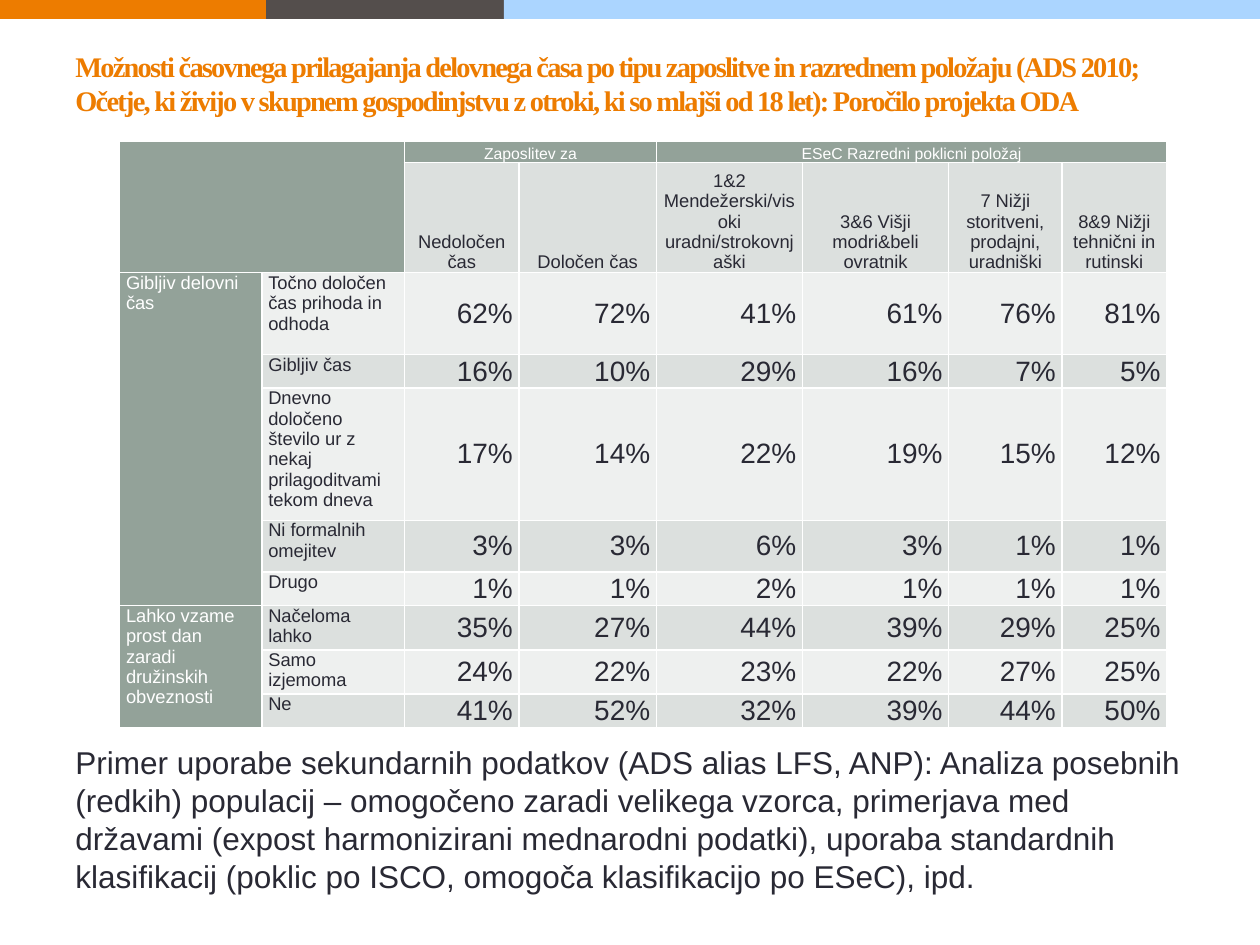
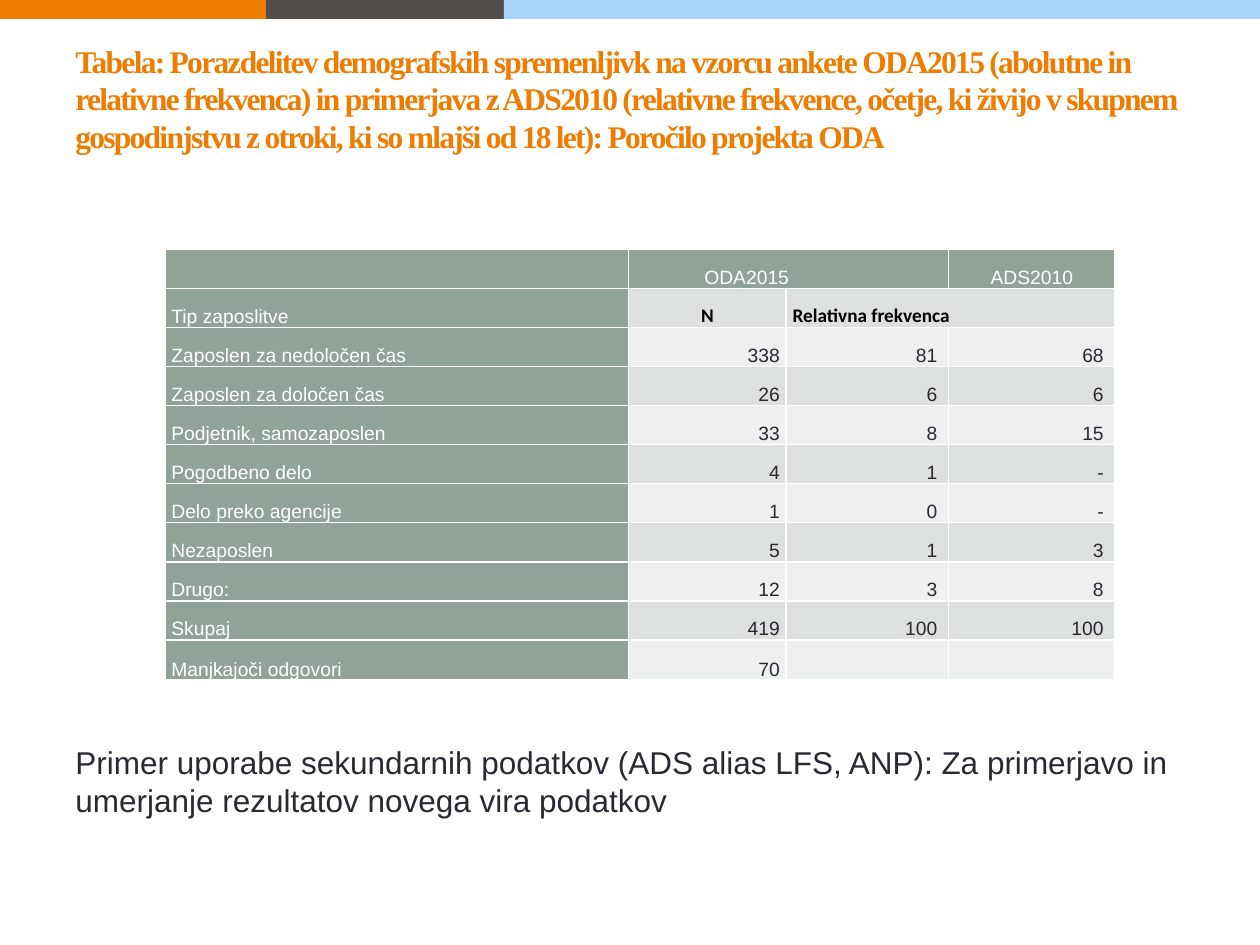
import pptx
import pptx.dml.color
import pptx.enum.shapes
import pptx.enum.text
import pptx.oxml
import pptx.oxml.ns
import pptx.util
from dataclasses import dataclass

Inches = pptx.util.Inches
Pt = pptx.util.Pt
ALIGN = pptx.enum.text.PP_ALIGN
ANCHOR = pptx.enum.text.MSO_ANCHOR


# Shared look
@dataclass(frozen=True)
class Theme:
    orange: str = "ED7C00"
    brown: str = "544E4C"
    sky: str = "ABD5FF"
    sage: str = "93A299"
    band_dark: str = "DCE0DE"
    band_light: str = "EEF0EF"
    ink: str = "292934"
    black: str = "000000"
    white: str = "FFFFFF"
    title_font: str = "Times New Roman"
    body_font: str = "Arial"
    label_font: str = "Calibri"
    long_title_size: float = 16.2
    title_size: float = 18
    note_size: float = 18
    group_size: float = 9
    label_size: float = 10.5
    value_size: float = 16
    plain_size: float = 11


def rgb(value):
    return pptx.dml.color.RGBColor.from_string(value)


class SlideBuilder:
    def __init__(self, deck, theme):
        self.deck = deck
        self.theme = theme
        self.page = None

    def new_page(self):
        self.page = self.deck.slides.add_slide(self.deck.slide_layouts[6])
        theme = self.theme
        self.band(0, 10, theme.brown)
        self.band(0, 2.11, theme.orange)
        self.band(4, 6, theme.sky)

    def band(self, left, width, color):
        shape = self.page.shapes.add_shape(
            pptx.enum.shapes.MSO_SHAPE.RECTANGLE,
            Inches(left), 0, Inches(width), Inches(0.15))
        shape.shadow.inherit = False
        self.fill(shape, color)
        shape.line.fill.background()

    def set_text(self, frame, text, size, color, font=None, bold=False,
                 align=ALIGN.LEFT):
        frame.text = text
        para = frame.paragraphs[0]
        para.alignment = align
        for span in para.runs:
            span.font.size = Pt(size)
            span.font.name = font or self.theme.body_font
            span.font.bold = bold
            span.font.color.rgb = rgb(color)
        return para

    def text_box(self, left, top, width, height):
        box = self.page.shapes.add_textbox(
            Inches(left), Inches(top), Inches(width), Inches(height))
        box.text_frame.word_wrap = True
        return box.text_frame

    def title(self, text, size, room_below):
        frame = self.text_box(0.5, 0.37, 9, 1.08)
        frame.vertical_anchor = ANCHOR.MIDDLE
        frame.margin_top = 0
        frame.margin_bottom = Inches(room_below)
        para = self.set_text(frame, text, size, self.theme.orange,
                             self.theme.title_font, bold=True)
        for span in para.runs:
            span._r.get_or_add_rPr().set("spc", "-100")

    def note(self, text, height):
        frame = self.text_box(0.5, 5.85, 9.15, height)
        self.set_text(frame, text, self.theme.note_size, self.theme.ink)

    def table(self, left, top, widths, heights):
        """Add an empty banded table with white cell borders."""
        table = self.page.shapes.add_table(
            len(heights), len(widths), Inches(left), Inches(top),
            Inches(sum(widths)), Inches(sum(heights))).table
        table.first_row = table.horz_banding = False
        for column, width in zip(table.columns, widths):
            column.width = Inches(width)
        for index, (row, height) in enumerate(zip(table.rows, heights)):
            row.height = Inches(height)
            for cell in row.cells:
                self.plain_cell(cell, index)
        return table

    def plain_cell(self, cell, row_index):
        theme = self.theme
        properties = cell._tc.get_or_add_tcPr()
        namespace = pptx.oxml.ns.nsdecls("a")
        for side in "LRTB":
            properties.append(pptx.oxml.parse_xml(
                f'<a:ln{side} {namespace} w="12700"><a:solidFill>'
                f'<a:srgbClr val="{theme.white}"/></a:solidFill></a:ln{side}>'))
        self.fill(cell, theme.band_dark if row_index % 2 else theme.band_light)
        cell.margin_left = cell.margin_right = Inches(0.05)
        cell.margin_top = cell.margin_bottom = 0
        # Small end mark, so that an empty cell does not stretch its row
        cell.text_frame.paragraphs[0]._p.append(pptx.oxml.parse_xml(
            f'<a:endParaRPr {namespace} sz="{int(theme.group_size * 100)}"/>'))

    def fill(self, item, color):
        item.fill.solid()
        item.fill.fore_color.rgb = rgb(color)

    def cell(self, cell, text, size, align=ALIGN.LEFT, anchor=ANCHOR.BOTTOM,
             header=False, **style):
        if header:
            self.fill(cell, self.theme.sage)
        cell.vertical_anchor = anchor
        if text:
            style.setdefault("color",
                             self.theme.white if header else self.theme.ink)
            self.set_text(cell.text_frame, text, size, align=align, **style)


# Working time options
CLASS_HEADINGS = [
    "Nedoločen čas", "Določen čas",
    "1&2 Mendežerski/visoki uradni/strokovnjaški",
    "3&6 Višji modri&beli ovratnik",
    "7 Nižji storitveni, prodajni, uradniški",
    "8&9 Nižji tehnični in rutinski"]

OPTION_ROWS = [
    ("Točno določen čas prihoda in odhoda", [62, 72, 41, 61, 76, 81]),
    ("Gibljiv čas", [16, 10, 29, 16, 7, 5]),
    ("Dnevno določeno število ur z nekaj prilagoditvami tekom dneva",
     [17, 14, 22, 19, 15, 12]),
    ("Ni formalnih omejitev", [3, 3, 6, 3, 1, 1]),
    ("Drugo", [1, 1, 2, 1, 1, 1]),
    ("Načeloma lahko", [35, 27, 44, 39, 29, 25]),
    ("Samo izjemoma", [24, 22, 23, 22, 27, 25]),
    ("Ne", [41, 52, 32, 39, 44, 50])]

# First row, first column, last row, last column, text
TOP_GROUPS = [(0, 0, 1, 1, ""), (0, 2, 0, 3, "Zaposlitev za"),
              (0, 4, 0, 7, "ESeC Razredni poklicni položaj")]
SIDE_GROUPS = [
    (2, 0, 6, 0, "Gibljiv delovni čas"),
    (7, 0, 9, 0, "Lahko vzame prost dan zaradi družinskih obveznosti")]


def working_time_slide(builder):
    theme = builder.theme
    builder.new_page()
    builder.title(
        "Možnosti časovnega prilagajanja delovnega časa po tipu zaposlitve in "
        "razrednem položaju (ADS 2010; Očetje, ki živijo v skupnem "
        "gospodinjstvu z otroki, ki so mlajši od 18 let): Poročilo projekta "
        "ODA", theme.long_title_size, room_below=0.5)
    table = builder.table(
        0.95, 1.12, [1.13, 1.13, 0.91, 1.09, 1.16, 1.16, 0.9, 0.83],
        [0.17, 0.81, 0.65, 0.21, 0.95, 0.41, 0.21, 0.27, 0.27, 0.27])

    for groups, size, align, anchor in (
            (TOP_GROUPS, theme.group_size, ALIGN.CENTER, ANCHOR.BOTTOM),
            (SIDE_GROUPS, theme.label_size, ALIGN.LEFT, ANCHOR.TOP)):
        for top, left, bottom, right, text in groups:
            for row in range(top, bottom + 1):
                for column in range(left, right + 1):
                    builder.fill(table.cell(row, column), theme.sage)
            table.cell(top, left).merge(table.cell(bottom, right))
            builder.cell(table.cell(top, left), text, size, align, anchor,
                         header=True)

    for column, heading in enumerate(CLASS_HEADINGS, 2):
        builder.cell(table.cell(1, column), heading, theme.label_size,
                     ALIGN.CENTER)
    for row, (option, shares) in enumerate(OPTION_ROWS, 2):
        builder.cell(table.cell(row, 1), option, theme.label_size,
                     anchor=ANCHOR.TOP)
        for column, share in enumerate(shares, 2):
            builder.cell(table.cell(row, column), f"{share}%",
                         theme.value_size, ALIGN.RIGHT, ANCHOR.MIDDLE)

    builder.note(
        "Primer uporabe sekundarnih podatkov (ADS alias LFS, ANP): Analiza "
        "posebnih (redkih) populacij – omogočeno zaradi velikega vzorca, "
        "primerjava med državami (expost harmonizirani mednarodni podatki), "
        "uporaba standardnih klasifikacij (poklic po ISCO, omogoča "
        "klasifikacijo po ESeC), ipd.", 1.31)


# Sample comparison
EMPLOYMENT_ROWS = [
    ("Zaposlen za nedoločen čas", "338", "81", "68"),
    ("Zaposlen za določen čas", "26", "6", "6"),
    ("Podjetnik, samozaposlen", "33", "8", "15"),
    ("Pogodbeno delo", "4", "1", "-"),
    ("Delo preko agencije", "1", "0", "-"),
    ("Nezaposlen", "5", "1", "3"),
    ("Drugo:", "12", "3", "8"),
    ("Skupaj", "419", "100", "100"),
    ("Manjkajoči odgovori", "70", "", "")]


def sample_slide(builder):
    theme = builder.theme
    size = theme.plain_size
    builder.new_page()
    builder.title(
        "Tabela: Porazdelitev demografskih spremenljivk na vzorcu ankete "
        "ODA2015 (abolutne in relativne frekvenca) in primerjava z ADS2010 "
        "(relativne frekvence, očetje, ki živijo v skupnem gospodinjstvu z "
        "otroki, ki so mlajši od 18 let): Poročilo projekta ODA",
        theme.title_size, room_below=0.26)
    table = builder.table(1.31, 1.98, [3.68, 1.25, 1.29, 1.32],
                          [0.31] * 10 + [0.32])

    # Survey names
    for column, survey in enumerate(["", "ODA2015", "", "ADS2010"]):
        builder.cell(table.cell(0, column), survey, size,
                     ALIGN.CENTER if column == 3 else ALIGN.LEFT, header=True)
    table.cell(0, 1).merge(table.cell(0, 2))
    table.cell(0, 1).margin_left = Inches(0.6)

    # Measures
    measure = dict(color=theme.black, font=theme.label_font, bold=True)
    builder.cell(table.cell(1, 0), "Tip zaposlitve", size, header=True)
    builder.cell(table.cell(1, 1), "N", size, ALIGN.CENTER, **measure)
    builder.cell(table.cell(1, 2), "Relativna frekvenca", size, **measure)
    table.cell(1, 2).merge(table.cell(1, 3))

    # Frequencies
    for row, (status, *values) in enumerate(EMPLOYMENT_ROWS, 2):
        builder.cell(table.cell(row, 0), status, size, header=True)
        for column, value in enumerate(values, 1):
            cell = table.cell(row, column)
            builder.cell(cell, value, size, ALIGN.RIGHT)
            if column > 1:
                cell.margin_right = Inches(0.09)

    builder.note(
        "Primer uporabe sekundarnih podatkov (ADS alias LFS, ANP): Za "
        "primerjavo in umerjanje rezultatov novega vira podatkov", 0.71)


def main():
    deck = pptx.Presentation()
    deck.slide_width, deck.slide_height = Inches(10), Inches(7.5)
    builder = SlideBuilder(deck, Theme())
    working_time_slide(builder)
    sample_slide(builder)
    deck.save("out.pptx")


if __name__ == "__main__":
    main()
